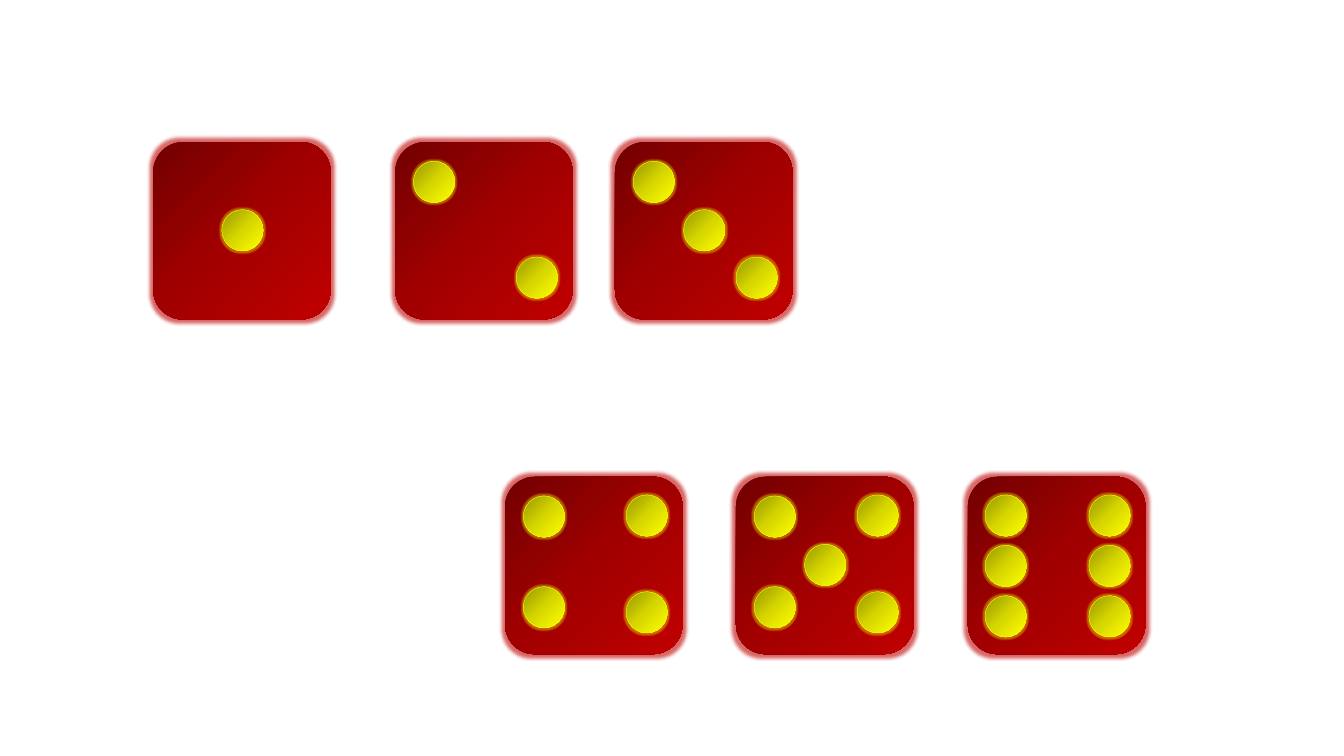
from dataclasses import dataclass

from pptx import Presentation
from pptx import util as u
from pptx.dml.color import RGBColor
from pptx.enum import shapes
from pptx.oxml import parse_xml
from pptx.oxml.ns import nsdecls, qn

PX = 9144
DIE, PIP = 176, 41
TOP_ROW, BOTTOM_ROW = 141, 473


@dataclass(frozen=True)
class Theme:
    """Colours and effects of the dice."""

    die_stops: tuple = ((0, "720000"), (50, "A20000"), (100, "C00000"))
    pip_stops: tuple = ((0, "979700"), (50, "D7D700"), (100, "FFFF00"))
    die_glow: tuple = ("C00000", 7, 60)
    pip_glow: tuple = ("FFFF00", 3, 40)
    pip_line: str = "FFFF00"
    pip_line_width: float = 0.25


THEME = Theme()

TOP_LEFT, TOP_RIGHT = (18, 19), (120, 18)
CENTRE = (68, 67)
LOW_LEFT, LOW_RIGHT = (18, 109), (120, 114)
CORNERS = [LOW_RIGHT, TOP_LEFT, LOW_LEFT, TOP_RIGHT]

ONE = [CENTRE]
TWO = [LOW_RIGHT, TOP_LEFT]
THREE = [CENTRE, *TWO]
FOUR = CORNERS
FIVE = [CENTRE, *CORNERS]
SIX = [(x, y) for x in (120, 17) for y in (18, 68, 118)]

DICE = [
    (152, TOP_ROW, ONE),
    (610, TOP_ROW, THREE),
    (730, BOTTOM_ROW, FIVE),
    (501, BOTTOM_ROW, FOUR),
    (960, BOTTOM_ROW, SIX),
    (392, TOP_ROW, TWO),
]


def add_glowing(slide, outline, left, top, size, stops, glow):
    """Add a square-sized shape with a diagonal gradient and a glow."""
    body = slide.shapes.add_shape(outline, left * PX, top * PX, size * PX, size * PX)
    body.shadow.inherit = False
    body.line.fill.background()
    stop_xml = "".join(
        f'<a:gs pos="{place * 1000}"><a:srgbClr val="{colour}"/></a:gs>'
        for place, colour in stops
    )
    properties = body._element.spPr
    properties.find(qn("a:prstGeom")).addnext(parse_xml(
        f'<a:gradFill {nsdecls("a")} rotWithShape="1"><a:gsLst>{stop_xml}</a:gsLst>'
        '<a:lin ang="2700000" scaled="1"/></a:gradFill>'
    ))
    colour, radius, opacity = glow
    properties.find(qn("a:effectLst")).append(parse_xml(
        f'<a:glow {nsdecls("a")} rad="{radius * PX}"><a:srgbClr val="{colour}">'
        f'<a:alpha val="{opacity * 1000}"/></a:srgbClr></a:glow>'
    ))
    return body


def add_die(slide, left, top, spots):
    """Draw one die face with its pips placed from its top left corner."""
    add_glowing(slide, shapes.MSO_SHAPE.ROUNDED_RECTANGLE, left, top, DIE,
                THEME.die_stops, THEME.die_glow)
    for x, y in spots:
        pip = add_glowing(slide, shapes.MSO_SHAPE.OVAL, left + x, top + y, PIP,
                          THEME.pip_stops, THEME.pip_glow)
        pip.line.color.rgb = RGBColor.from_string(THEME.pip_line)
        pip.line.width = u.Pt(THEME.pip_line_width)


def main():
    """Build the slide with the six dice faces."""
    deck = Presentation()
    deck.slide_width, deck.slide_height = 1333 * PX, 750 * PX
    slide = deck.slides.add_slide(deck.slide_layouts[6])
    for left, top, spots in DICE:
        add_die(slide, left, top, spots)
    deck.save("out.pptx")


if __name__ == "__main__":
    main()
